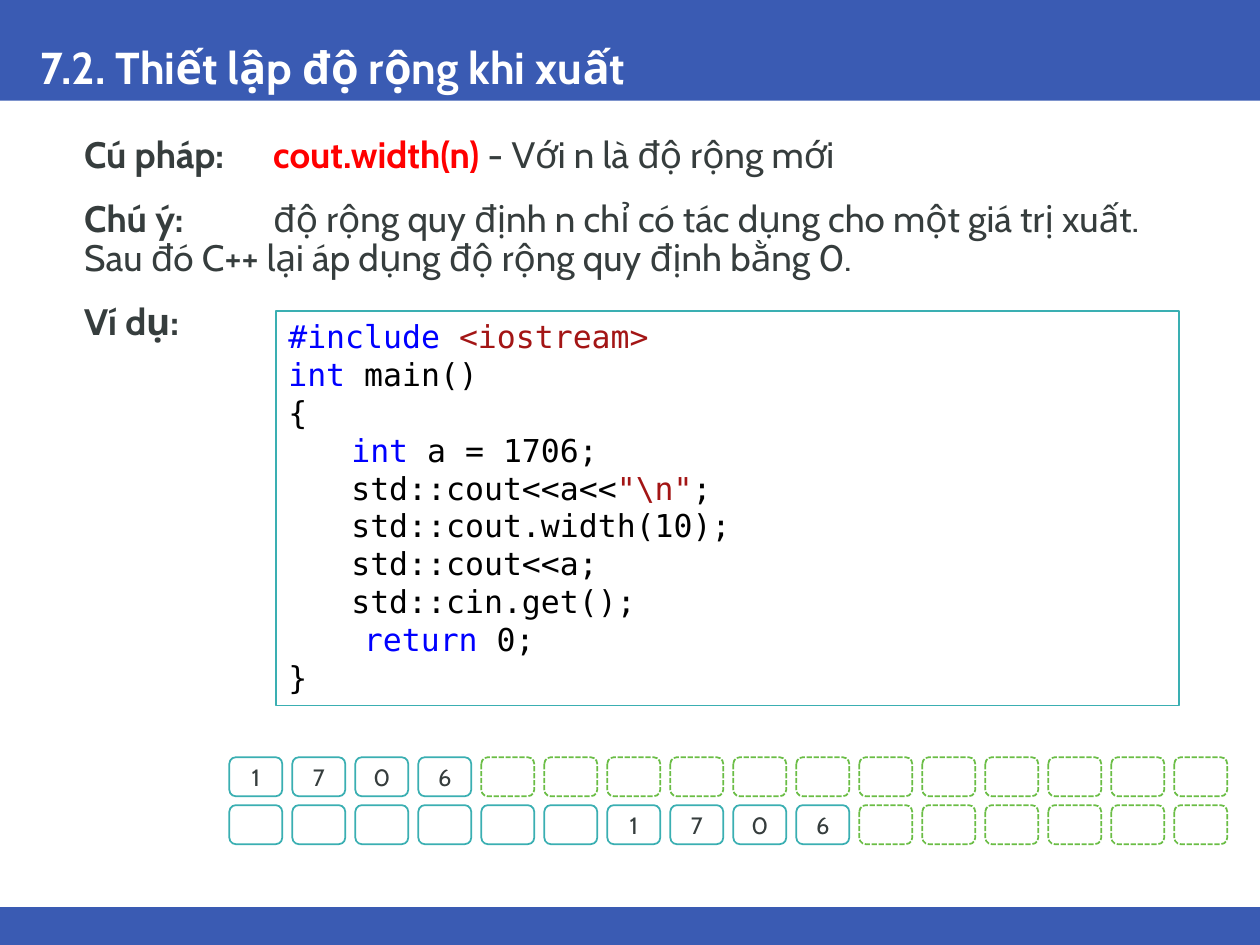
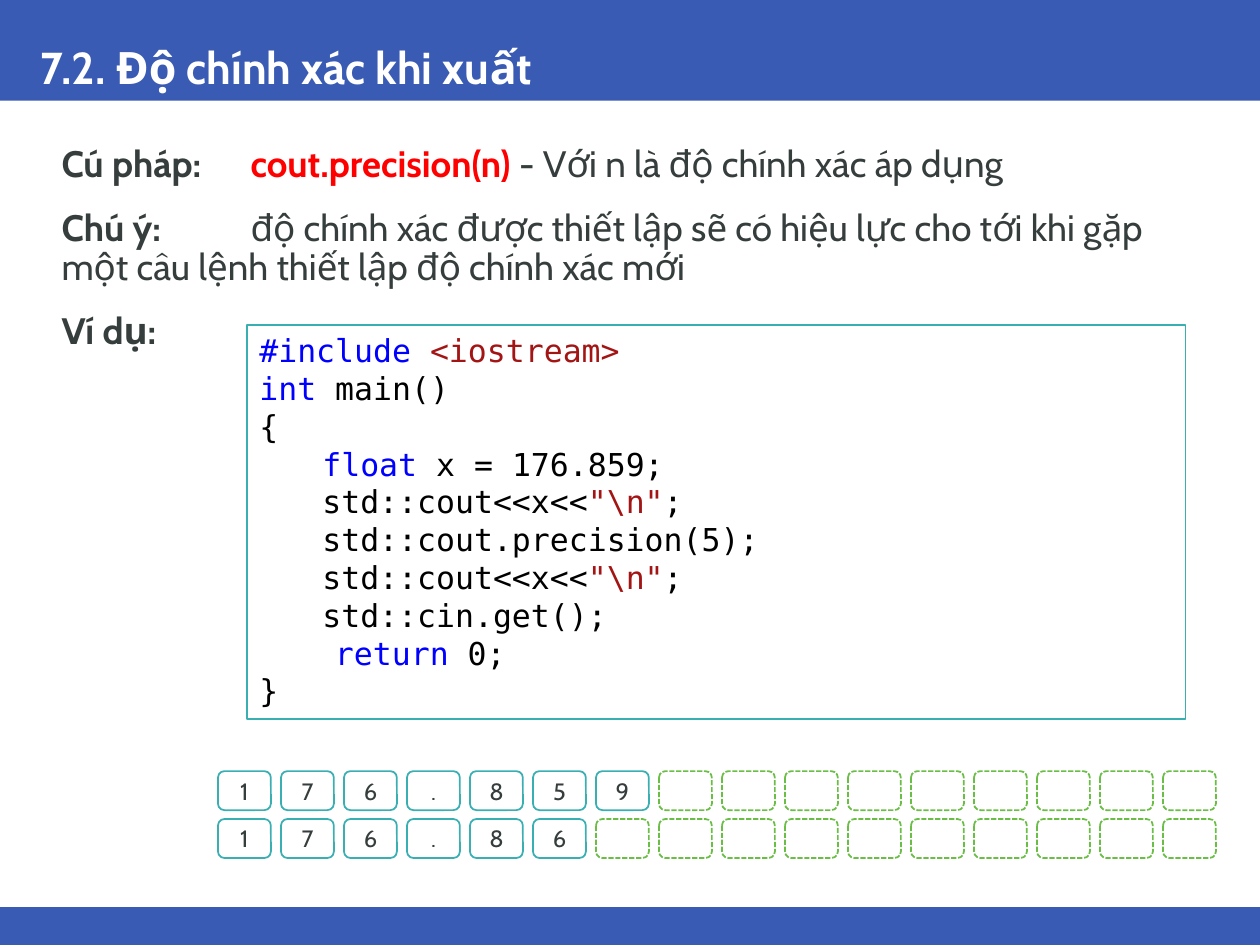
from pptx import Presentation
from pptx.dml.color import RGBColor
from pptx.enum.dml import MSO_LINE
from pptx.enum.shapes import MSO_SHAPE
from pptx.enum.text import MSO_ANCHOR, PP_ALIGN
from pptx.util import Inches, Pt

COLORS = {
    "band": "3A5BB3", "white": "FFFFFF", "body": "363D3D", "syntax": "FF0000",
    "used": "3AAFB2", "free": "6ABD45",
    "keyword": "0000FF", "literal": "A31515", "plain": "000000",
}
FONTS = {
    "title": {"name": "Cabin", "size": Pt(25.5), "bold": True},
    "label": {"name": "Cabin", "size": Pt(21), "bold": True},
    "body": {"name": "Cabin", "size": Pt(21), "bold": False},
    "code": {"name": "DejaVu Sans Mono", "size": Pt(18)},
    "digit": {"name": "Cabin", "size": Pt(13.5)},
}
HEADING_SPACING = {"line_spacing": 0.9}
BODY_SPACING = {"line_spacing": 0.9, "space_before": Pt(13.5)}

SLIDE_WIDTH, SLIDE_HEIGHT = 10, 7.5
COLUMNS = 16
CELL_WIDTH, CELL_HEIGHT = 0.42, 0.31
COLUMN_PITCH, ROW_PITCH = 0.5, 0.38
LABEL_INDENT, TAB_WIDTH = 0.04, 0.75
BLOCK_INDENT, RETURN_INDENT = 0.5, 0.6

NEWLINE = ('"\\n"', "literal")
PROGRAM_START = [
    (0, [("#include ", "keyword"), ("<iostream>", "literal")]),
    (0, [("int", "keyword"), (" main()", "plain")]),
    (0, [("{", "plain")]),
]
PROGRAM_END = [
    (BLOCK_INDENT, [("std::cin.get();", "plain")]),
    (RETURN_INDENT, [("return", "keyword"), (" 0;", "plain")]),
    (0, [("}", "plain")]),
]

# Output rows are (empty leading cells, printed characters).
LESSONS = [
    {
        "title": "7.2. Thiết lập độ rộng khi xuất",
        "syntax": "cout.width(n)",
        "meaning": " - Với n là độ rộng mới",
        "remark": "độ rộng quy định n chỉ có tác dụng cho một giá trị xuất. "
                  "Sau đó C++ lại áp dụng độ rộng quy định bằng 0.",
        "statements": [
            [("int", "keyword"), (" a = 1706;", "plain")],
            [("std::cout<<a<<", "plain"), NEWLINE, (";", "plain")],
            [("std::cout.width(10);", "plain")],
            [("std::cout<<a;", "plain")],
        ],
        "output": [(0, "1706"), (6, "1706")],
        "explanation_box": (0.53, 1.04, 8.99, 4.03),
        "program_box": (2.19, 2.47, 7.17, 3.13),
        "output_corner": (1.82, 6.01),
    },
    {
        "title": "7.2. Độ chính xác khi xuất",
        "syntax": "cout.precision(n)",
        "meaning": " - Với n là độ chính xác áp dụng",
        "remark": "độ chính xác được thiết lập sẽ có hiệu lực cho tới khi gặp "
                  "một câu lệnh thiết lập độ chính xác mới",
        "statements": [
            [("float", "keyword"), (" x = 176.859;", "plain")],
            [("std::cout<<x<<", "plain"), NEWLINE, (";", "plain")],
            [("std::cout.precision(5);", "plain")],
            [("std::cout<<x<<", "plain"), NEWLINE, (";", "plain")],
        ],
        "output": [(0, "176.859"), (0, "176.86")],
        "explanation_box": (0.35, 1.11, 9.17, 3.4),
        "program_box": (1.96, 2.58, 7.45, 3.13),
        "output_corner": (1.73, 6.12),
    },
]


def rgb(color):
    return RGBColor.from_string(COLORS[color])


def apply_format(target, values):
    for attribute, value in values.items():
        setattr(target, attribute, value)


def add_run(paragraph, text, font, color):
    run = paragraph.add_run()
    run.text = text
    apply_format(run.font, FONTS[font])
    run.font.color.rgb = rgb(color)


def indent(paragraph, left):
    """Set the left margin and the width of the tab steps."""
    properties = paragraph._p.get_or_add_pPr()
    for name, length in [("marL", left), ("indent", 0), ("defTabSz", TAB_WIDTH)]:
        properties.set(name, str(Inches(length)))


def paragraphs(frame, count):
    """Return the first paragraph of the frame and enough new ones after it."""
    return [frame.paragraphs[0]] + [frame.add_paragraph() for _ in range(count - 1)]


def add_panel(shapes, preset, box, fill, border=None):
    panel = shapes.add_shape(preset, *map(Inches, box))
    panel.shadow.inherit = False
    panel.fill.solid()
    panel.fill.fore_color.rgb = rgb(fill)
    if border:
        panel.line.color.rgb = rgb(border)
        panel.line.width = Pt(1)
    else:
        panel.line.fill.background()
    return panel


def add_text_area(slide, box, anchor):
    frame = slide.shapes.add_textbox(*map(Inches, box)).text_frame
    apply_format(frame, {"word_wrap": True, "vertical_anchor": anchor})
    return frame


def add_frame(slide, title):
    """Draw the top and bottom bands and the title."""
    for top, height in [(0, 0.8), (7.2, 0.3)]:
        add_panel(slide.shapes, MSO_SHAPE.RECTANGLE, (0, top, SLIDE_WIDTH, height), "band")
    frame = add_text_area(slide, (0.22, 0, 9.57, 0.8), MSO_ANCHOR.BOTTOM)
    heading = frame.paragraphs[0]
    apply_format(heading, HEADING_SPACING)
    add_run(heading, title, "title", "white")


def add_explanation(slide, box, lesson):
    entries = [
        [("Cú pháp: \t", "label", "body"), (lesson["syntax"], "label", "syntax"),
         (lesson["meaning"], "body", "body")],
        [("Chú ý: \t", "label", "body"), (lesson["remark"], "body", "body")],
        [("Ví dụ:", "label", "body")],
    ]
    frame = add_text_area(slide, box, MSO_ANCHOR.TOP)
    for paragraph, entry in zip(paragraphs(frame, len(entries)), entries):
        apply_format(paragraph, BODY_SPACING)
        indent(paragraph, LABEL_INDENT)
        for run in entry:
            add_run(paragraph, *run)


def add_program(slide, box, statements):
    lines = PROGRAM_START + [(BLOCK_INDENT, line) for line in statements] + PROGRAM_END
    frame = add_panel(slide.shapes, MSO_SHAPE.RECTANGLE, box, "white", "used").text_frame
    apply_format(frame, {"word_wrap": True, "vertical_anchor": MSO_ANCHOR.TOP})
    for paragraph, (left, tokens) in zip(paragraphs(frame, len(lines)), lines):
        paragraph.alignment = PP_ALIGN.LEFT
        indent(paragraph, left)
        for text, color in tokens:
            add_run(paragraph, text, "code", color)


def add_output_grid(slide, corner, rows):
    """Show each output row as cells: solid when written, dashed when free."""
    left, top = corner
    cells = slide.shapes.add_group_shape().shapes
    for row, (lead, printed) in enumerate(rows):
        for column in range(COLUMNS):
            used = column < lead + len(printed)
            box = (left + column * COLUMN_PITCH, top + row * ROW_PITCH,
                   CELL_WIDTH, CELL_HEIGHT)
            cell = add_panel(cells, MSO_SHAPE.ROUNDED_RECTANGLE, box, "white",
                             "used" if used else "free")
            if not used:
                cell.line.dash_style = MSO_LINE.SQUARE_DOT
            elif column >= lead:
                frame = cell.text_frame
                apply_format(frame, {"word_wrap": False,
                                     "vertical_anchor": MSO_ANCHOR.MIDDLE})
                frame.paragraphs[0].alignment = PP_ALIGN.CENTER
                add_run(frame.paragraphs[0], printed[column - lead], "digit", "body")


def add_lesson(presentation, lesson):
    slide = presentation.slides.add_slide(presentation.slide_layouts[6])
    add_frame(slide, lesson["title"])
    add_explanation(slide, lesson["explanation_box"], lesson)
    add_output_grid(slide, lesson["output_corner"], lesson["output"])
    add_program(slide, lesson["program_box"], lesson["statements"])


def main():
    presentation = Presentation()
    presentation.slide_width = Inches(SLIDE_WIDTH)
    presentation.slide_height = Inches(SLIDE_HEIGHT)
    for lesson in LESSONS:
        add_lesson(presentation, lesson)
    presentation.save("out.pptx")


if __name__ == "__main__":
    main()
